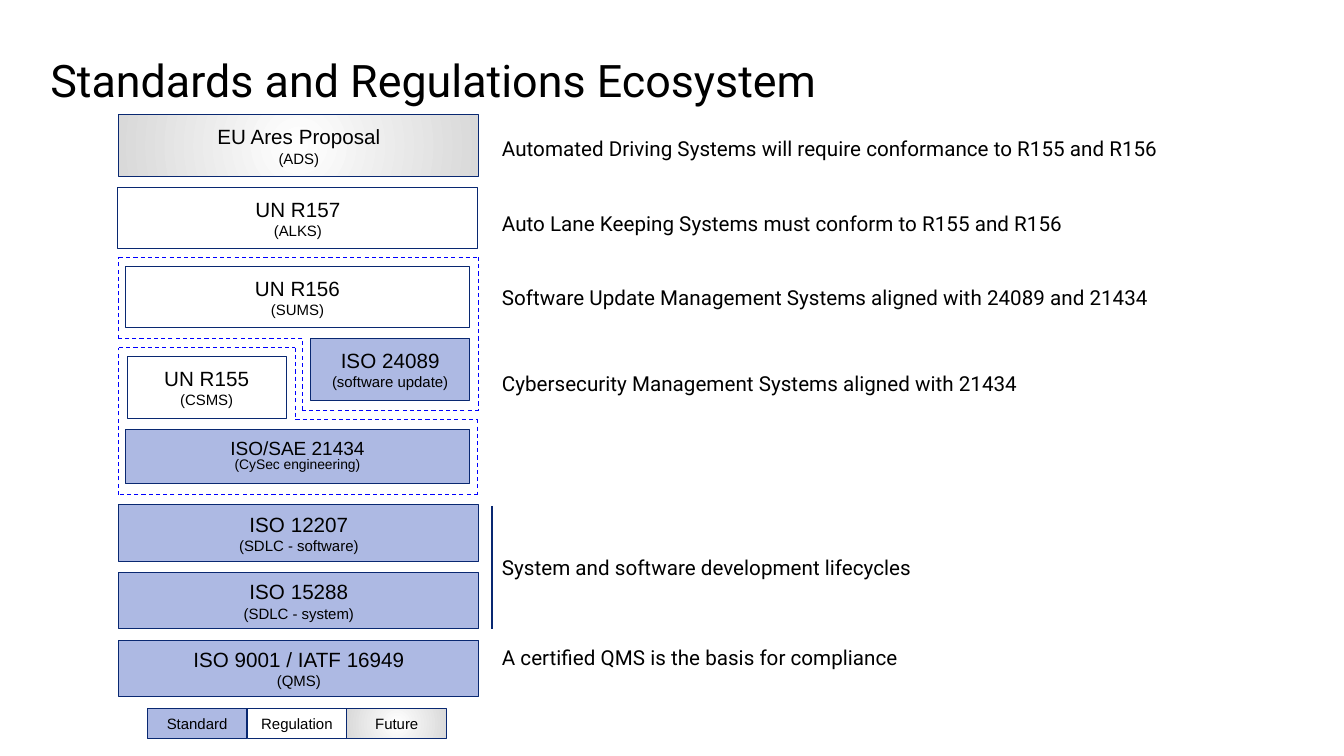
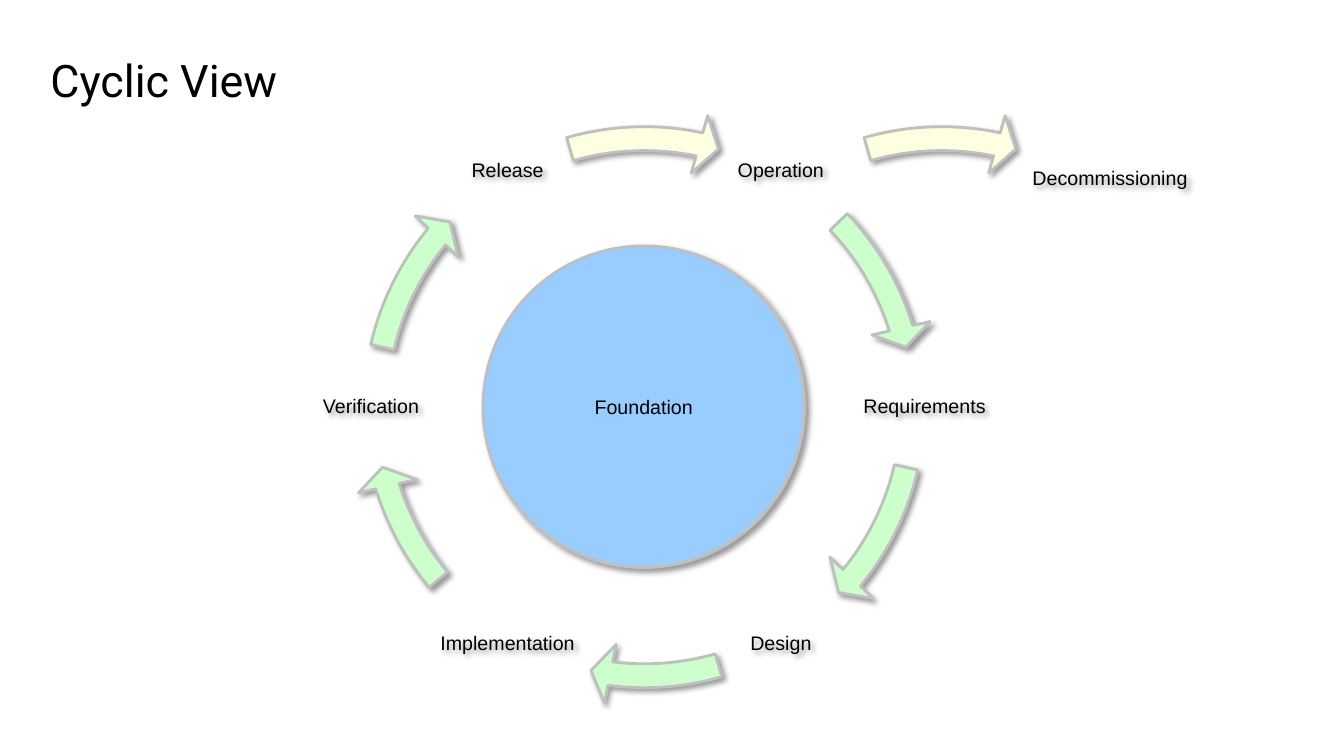
from itertools import pairwise
from math import cos, radians, sin

from lxml.etree import SubElement
from pptx import Presentation
from pptx.dml.color import RGBColor
from pptx.enum.dml import MSO_LINE
from pptx.enum.shapes import MSO_CONNECTOR, MSO_SHAPE
from pptx.enum.text import MSO_ANCHOR, MSO_AUTO_SIZE, PP_ALIGN
from pptx.oxml.ns import qn
from pptx.util import Inches, Pt

TITLE_FONT, LABEL_FONT = "Roboto", "Arial"
BLACK, NAVY, DASH_BLUE = "000000", "092871", "0000FF"
STANDARD, REGULATION, FUTURE = "ADB9E3", "FFFFFF", ("FFFFFF", "D9D9D9")
GREEN, YELLOW, SKY, GREY = "CCFFCC", "FDFFE0", "99CCFF", "BFBFBF"
NAME_SIZE, DETAIL_SIZE = 14.7, 10.7
CENTER_X, CENTER_Y, RING_SIZE = 6.39, 4.04, 5.92

# name, detail, left, top, width, height, fill
STACK = [
    ("EU Ares Proposal", "(ADS)", 1.18, 1.14, 3.57, 0.61, FUTURE),
    ("UN R157", "(ALKS)", 1.17, 1.86, 3.57, 0.61, REGULATION),
    ("UN R156", "(SUMS)", 1.24, 2.64, 3.42, 0.61, REGULATION),
    ("ISO 24089", "(software update)", 3.08, 3.36, 1.58, 0.61, STANDARD),
    ("UN R155", "(CSMS)", 1.26, 3.54, 1.58, 0.61, REGULATION),
]
LIFECYCLE = [
    ("ISO 12207", "(SDLC - software)"),
    ("ISO 15288", "(SDLC - system)"),
    ("ISO 9001 / IATF 16949", "(QMS)"),
]
REMARKS = [
    (1.25, "Automated Driving Systems will require conformance to R155 and R156"),
    (1.99, "Auto Lane Keeping Systems must conform to R155 and R156"),
    (2.73, "Software Update Management Systems aligned with 24089 and 21434"),
    (3.58, "Cybersecurity Management Systems aligned with 21434"),
    (5.41, "System and software development lifecycles"),
    (6.3, "A certified QMS is the basis for compliance"),
]
UPDATE_OUTLINE = [(1.18, 2.55), (4.75, 2.55), (4.75, 4.07),
                  (3, 4.07), (3, 3.36), (1.18, 3.36)]
SECURITY_OUTLINE = [(1.18, 3.45), (2.93, 3.45), (2.93, 4.16),
                    (4.74, 4.16), (4.74, 4.91), (1.18, 4.91)]
LEGEND = [("Standard", STANDARD), ("Regulation", REGULATION), ("Future", FUTURE)]

# phase, angle and radius of its label, label width, arrow start and end angles, arrow fill
RELEASE_ARC = (253.97, 281.86)
PHASES = [
    ("Operation", -60, 2.71, 1.21, (316.38, 342.9), GREEN),
    ("Requirements", 0, 2.78, 1.36, (12.94, 39.46), GREEN),
    ("Design", 60, 2.71, 1.21, (73.97, 97.26), GREEN),
    ("Implementation", 120, 2.71, 1.63, (140.05, 162.9), GREEN),
    ("Verification", 180, 2.71, 1.21, (192.94, 219.46), GREEN),
    ("Release", 240, 2.71, 1.21, RELEASE_ARC, YELLOW),
]


def color(hex_value):
    return RGBColor.from_string(hex_value)


def inches(*lengths):
    return [Inches(length) for length in lengths]


def write(shape, lines, font=LABEL_FONT, align=PP_ALIGN.CENTER, inset=0.1,
          anchor=MSO_ANCHOR.MIDDLE, spacing=None):
    """Fill the shape with one paragraph per (text, size) pair."""
    frame = shape.text_frame
    frame.word_wrap = True
    frame.vertical_anchor = anchor
    frame.margin_left = frame.margin_right = Inches(inset)
    frame.margin_top = frame.margin_bottom = Inches(inset)
    for index, (text, size) in enumerate(lines):
        paragraph = frame.add_paragraph() if index else frame.paragraphs[0]
        paragraph.alignment = align
        paragraph.line_spacing = spacing
        run = paragraph.add_run()
        run.text = text
        run.font.name = font
        run.font.size = Pt(size)
        run.font.color.rgb = color(BLACK)


def paint(shape, fill, line, width):
    """Set fill and outline; a pair of colours makes a radial gradient."""
    shape.shadow.inherit = False
    shape.line.color.rgb = color(line)
    shape.line.width = Pt(width)
    if isinstance(fill, str):
        shape.fill.solid()
        shape.fill.fore_color.rgb = color(fill)
        return
    shape.fill.gradient()
    for stop, hex_value, position in zip(shape.fill.gradient_stops, fill, (0, 1)):
        stop.color.rgb = color(hex_value)
        stop.position = position
    gradient = shape._element.spPr.find(qn("a:gradFill"))
    gradient.remove(gradient.find(qn("a:lin")))
    radial = SubElement(gradient, qn("a:path"), {"path": "circle"})
    SubElement(radial, qn("a:fillToRect"), dict.fromkeys("ltrb", "50000"))


def cast_shadow(shape):
    shape.shadow.inherit = False
    effects = shape._element.spPr.find(qn("a:effectLst"))
    outer = SubElement(effects, qn("a:outerShdw"), {
        "blurRad": str(Pt(4)), "dist": str(Pt(3)), "dir": "2700000",
        "algn": "tl", "rotWithShape": "0"})
    tint = SubElement(outer, qn("a:srgbClr"), {"val": BLACK})
    SubElement(tint, qn("a:alpha"), {"val": "40000"})


def add_titled_slide(deck, title):
    slide = deck.slides.add_slide(deck.slide_layouts[6])
    heading = slide.shapes.add_textbox(*inches(0.5, 0.5, 12.33, 0.57))
    write(heading, [(title, 32)], TITLE_FONT, PP_ALIGN.LEFT, inset=0)
    return slide.shapes


def add_box(shapes, bounds, fill, lines, spacing=None):
    box = shapes.add_shape(MSO_SHAPE.RECTANGLE, *inches(*bounds))
    paint(box, fill, NAVY, 0.75)
    write(box, lines, spacing=spacing)


def add_remark(shapes, top, text):
    remark = shapes.add_textbox(*inches(4.88, top, 6.86, 0.45))
    write(remark, [(text, NAME_SIZE)], TITLE_FONT, PP_ALIGN.LEFT, anchor=MSO_ANCHOR.TOP)
    remark.text_frame.auto_size = MSO_AUTO_SIZE.SHAPE_TO_FIT_TEXT


def add_line(shapes, start, end, hex_value, width, dash=None):
    line = shapes.add_connector(MSO_CONNECTOR.STRAIGHT, *inches(*start, *end))
    line.line.color.rgb = color(hex_value)
    line.line.width = Pt(width)
    if dash:
        line.line.dash_style = dash
    SubElement(line._element.spPr, qn("a:effectLst"))


def add_dashed_outline(shapes, corners):
    for start, end in pairwise(corners + corners[:1]):
        add_line(shapes, start, end, DASH_BLUE, 0.75, MSO_LINE.DASH)


def add_phase_label(shapes, text, center_x, center_y, width):
    height = 1.21
    label = shapes.add_textbox(
        *inches(center_x - width / 2, center_y - height / 2, width, height))
    write(label, [(text, 14)], inset=0.02, spacing=0.9)
    cast_shadow(label)


def add_ring_arrow(shapes, center_x, arc, fill):
    """Draw a curved arrow between two angles in degrees, clockwise from the right."""
    start, end = arc
    arrow = shapes.add_shape(MSO_SHAPE.CIRCULAR_ARROW, *inches(
        center_x - RING_SIZE / 2, CENTER_Y - RING_SIZE / 2, RING_SIZE, RING_SIZE))
    # Angles are stored in 60000ths of a degree, adjustments in 100000ths
    for index, value in enumerate((0.04, 2.5, end * 0.6, start * 0.6, 0.05)):
        arrow.adjustments[index] = value
    paint(arrow, fill, GREY, 2)
    cast_shadow(arrow)


def build_ecosystem(deck):
    shapes = add_titled_slide(deck, "Standards and Regulations Ecosystem")
    for name, detail, *bounds, fill in STACK:
        add_box(shapes, bounds, fill, [(name, NAME_SIZE), (detail, DETAIL_SIZE)])
    add_box(shapes, (1.24, 4.26, 3.42, 0.54), STANDARD,
            [("ISO/SAE 21434", 13.6), ("(CySec engineering)", 9.9)], spacing=0.8)
    for row, (name, detail) in enumerate(LIFECYCLE):
        add_box(shapes, (1.18, 5.01 + row * 0.67, 3.57, 0.56), STANDARD,
                [(name, NAME_SIZE), (detail, DETAIL_SIZE)])
    for top, text in REMARKS:
        add_remark(shapes, top, text)
    add_line(shapes, (4.88, 5.02), (4.88, 6.24), NAVY, 1.5)
    for corners in (UPDATE_OUTLINE, SECURITY_OUTLINE):
        add_dashed_outline(shapes, corners)
    legend = shapes.add_group_shape().shapes
    for column, (kind, fill) in enumerate(LEGEND):
        add_box(legend, (1.46 + column * 0.99, 7.03, 0.99, 0.3), fill,
                [(kind, DETAIL_SIZE)])


def build_cycle(deck):
    shapes = add_titled_slide(deck, "Cyclic View")
    for phase, angle, radius, width, arc, fill in PHASES:
        add_phase_label(shapes, phase, CENTER_X + radius * cos(radians(angle)),
                        CENTER_Y + radius * sin(radians(angle)), width)
        add_ring_arrow(shapes, CENTER_X, arc, fill)
    add_phase_label(shapes, "Decommissioning", 11.01, 1.78, 1.6)
    foundation = shapes.add_shape(MSO_SHAPE.OVAL, *inches(4.79, 2.44, 3.19, 3.19))
    paint(foundation, SKY, GREY, 2)
    cast_shadow(foundation)
    write(foundation, [("Foundation", 14)])
    add_ring_arrow(shapes, CENTER_X + 2.95, RELEASE_ARC, YELLOW)


def main():
    deck = Presentation()
    deck.slide_width, deck.slide_height = inches(13.33, 7.5)
    build_ecosystem(deck)
    build_cycle(deck)
    deck.save("out.pptx")


if __name__ == "__main__":
    main()
